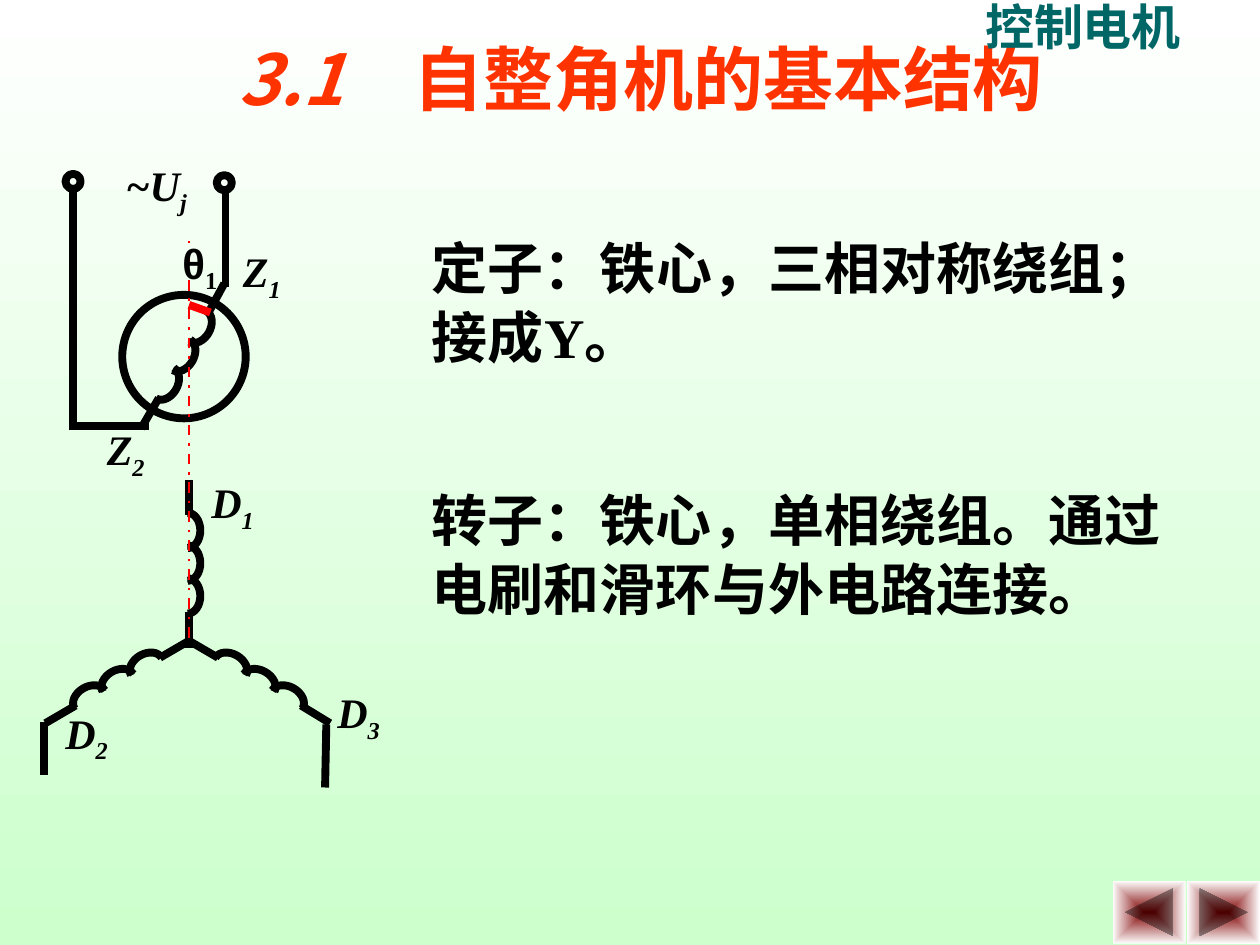
from math import cos, pi, radians, sin

from lxml import etree
from pptx import Presentation
from pptx.dml.color import RGBColor
from pptx.enum.dml import MSO_LINE
from pptx.enum.shapes import MSO_CONNECTOR, MSO_SHAPE
from pptx.enum.text import MSO_ANCHOR, MSO_AUTO_SIZE, PP_ALIGN
from pptx.oxml.ns import qn
from pptx.util import Cm, Pt

BLACK = RGBColor(0x00, 0x00, 0x00)
RED = RGBColor(0xFF, 0x00, 0x00)
ORANGE = RGBColor(0xFF, 0x33, 0x00)
TEAL = RGBColor(0x00, 0x66, 0x66)
MAROON = RGBColor(0x80, 0x00, 0x00)
WHITE = RGBColor(0xFF, 0xFF, 0xFF)
PALE_GREEN = RGBColor(0xCC, 0xFF, 0xCC)

SERIF = "Times New Roman"
CHINESE = "Noto Sans CJK SC"

# All positions below are in inches.
TITLE = ("3.1", "\u3000自整角机的基本结构".replace("\u3000", "　"))
TITLE_BOX = (0.67, 0.23, 8.83, 0.77)
HEADER = ("控制电机", (7.72, -0.08, 1.92, 0.57))
DESCRIPTIONS = [
    ("定子：铁心，三相对称绕组；接成Y。", (3.33, 1.75, 6.25, 1.17)),
    ("转子：铁心，单相绕组。通过电刷和滑环与外电路连接。", (3.33, 3.75, 6.33, 1.17)),
]
# letter, subscript, left, top, width
LABELS = [
    ("θ", "1", 1.35, 1.83, 0.67),
    ("~U", "j", 0.90, 1.21, 0.81),
    ("Z", "1", 1.83, 1.90, 0.67),
    ("Z", "2", 0.75, 3.31, 0.67),
    ("D", "1", 1.58, 3.73, 0.67),
    ("D", "2", 0.42, 5.56, 0.67),
    ("D", "3", 2.58, 5.40, 0.67),
]
# start of the winding and its direction in degrees, clockwise from the right
WINDINGS = [(0.59, 5.62, -30), (1.71, 5.22, 30), (1.49, 4.07, 90), (1.64, 2.47, 120)]
TURNS, TURN_PITCH, TURN_LENGTH, TURN_DEPTH, ARC_STEPS = 3, 0.26, 0.28, 0.1, 16
WIRES = [
    (0.36, 5.74, 0.60, 5.60), (1.27, 5.22, 1.51, 5.08),
    (2.39, 5.60, 2.62, 5.74), (1.49, 5.08, 1.73, 5.22),
    (1.50, 3.81, 1.50, 4.09), (1.50, 4.86, 1.50, 5.14),
    (2.59, 5.75, 2.58, 6.25), (0.35, 5.73, 0.35, 6.15),
    (1.78, 2.25, 1.65, 2.49), (1.26, 3.16, 1.12, 3.40),
    (1.79, 2.28, 1.79, 1.53), (1.18, 3.38, 0.60, 3.38),
    (0.58, 3.41, 0.58, 1.52),
]
AXIS = (1.50, 5.06, 1.50, 1.90)
ANGLE_MARK = (1.50, 2.42, 1.67, 2.48)
# left, top, diameter
CIRCLES = [(0.97, 2.34, 0.98), (1.72, 1.39, 0.12), (0.52, 1.38, 0.12)]
# left, rotation
BUTTONS = [(8.83, 0), (9.42, 180)]


def lengths(*inches):
    return [Cm(value * 2.54) for value in inches]


def format_run(run, size, color, font_name=SERIF, italic=False):
    font = run.font
    font.size, font.name, font.bold, font.italic = Pt(size), font_name, True, italic
    font.color.rgb = color
    east_asian = etree.SubElement(run._r.get_or_add_rPr(), qn("a:ea"))
    east_asian.set("typeface", CHINESE)


def prepare_frame(shape, anchor=MSO_ANCHOR.MIDDLE):
    frame = shape.text_frame
    frame.word_wrap = True
    frame.auto_size = MSO_AUTO_SIZE.NONE
    frame.vertical_anchor = anchor
    return frame


def add_text(slide, box, text, size, color, anchor=MSO_ANCHOR.MIDDLE):
    frame = prepare_frame(slide.shapes.add_textbox(*lengths(*box)), anchor)
    frame.text = text
    format_run(frame.paragraphs[0].runs[0], size, color)
    return frame


def add_wire(slide, ends, color=BLACK, width=4.5):
    wire = slide.shapes.add_connector(MSO_CONNECTOR.STRAIGHT, *lengths(*ends))
    wire.line.color.rgb = color
    wire.line.width = Pt(width)
    etree.SubElement(wire._element.spPr, qn("a:effectLst"))
    return wire


def outline_only(shape):
    shape.shadow.inherit = False
    shape.fill.background()
    shape.line.color.rgb = BLACK
    shape.line.width = Pt(4.5)


def add_winding(slide, left, top, degrees):
    """Draw a row of half-ellipse turns bulging to the left of the direction."""
    along_x, along_y = cos(radians(degrees)), sin(radians(degrees))
    for turn in range(TURNS):
        points = []
        for step in range(ARC_STEPS + 1):
            angle = pi * step / ARC_STEPS
            along = turn * TURN_PITCH + TURN_LENGTH * (1 - cos(angle)) / 2
            out = TURN_DEPTH * sin(angle)
            points.append(lengths(left + along * along_x + out * along_y,
                                  top + along * along_y - out * along_x))
        builder = slide.shapes.build_freeform(*points[0])
        builder.add_line_segments(points[1:], close=False)
        outline_only(builder.convert_to_shape())


def set_gradient(fill, first, last):
    fill.gradient()
    for stop, color, position in zip(fill.gradient_stops, (first, last), (0, 1)):
        stop.color.rgb = color
        stop.position = position


def add_button(slide, left, rotation):
    button = slide.shapes.add_shape(MSO_SHAPE.ACTION_BUTTON_BACK_OR_PREVIOUS,
                                    *lengths(left, 6.99, 0.58, 0.5))
    button.rotation = rotation
    button.shadow.inherit = False
    button.line.fill.background()
    set_gradient(button.fill, MAROON, WHITE)
    gradient = button._element.spPr.find(qn("a:gradFill"))
    gradient.remove(gradient.find(qn("a:lin")))
    path = etree.Element(qn("a:path"), path="rect")
    gradient.find(qn("a:gsLst")).addnext(path)
    etree.SubElement(path, qn("a:fillToRect"), l="50000", t="50000", r="50000", b="50000")


def add_title(slide):
    title = slide.shapes.title
    title.left, title.top, title.width, title.height = lengths(*TITLE_BOX)
    paragraph = prepare_frame(title).paragraphs[0]
    paragraph.alignment = PP_ALIGN.CENTER
    for text, italic in zip(TITLE, (True, False)):
        run = paragraph.add_run()
        run.text = text
        format_run(run, 40, ORANGE, CHINESE, italic)


def add_label(slide, letter, subscript, left, top, width):
    frame = add_text(slide, (left, top, width, 0.56), letter, 24, BLACK)
    paragraph = frame.paragraphs[0]
    run = paragraph.add_run()
    run.text = subscript
    format_run(run, 24, BLACK)
    run.font._element.set("baseline", "-25000")
    is_angle = letter == "θ"
    for run in paragraph.runs:
        run.font.italic = not is_angle
    if is_angle:
        paragraph.runs[0].font.name = "Arial"


def main():
    presentation = Presentation()
    presentation.slide_width, presentation.slide_height = Cm(25.4), Cm(19.05)
    slide = presentation.slides.add_slide(presentation.slide_layouts[5])
    background = slide.background.fill
    set_gradient(background, WHITE, PALE_GREEN)
    background.gradient_angle = 270

    text, box = HEADER
    add_text(slide, box, text, 28, TEAL)
    add_title(slide)

    for winding in WINDINGS:
        add_winding(slide, *winding)
    for ends in WIRES:
        add_wire(slide, ends)
    for left, top, diameter in CIRCLES:
        outline_only(slide.shapes.add_shape(
            MSO_SHAPE.OVAL, *lengths(left, top, diameter, diameter)))
    add_wire(slide, AXIS, RED, 1.5).line.dash_style = MSO_LINE.DASH_DOT
    add_wire(slide, ANGLE_MARK, RED)

    for label in LABELS:
        add_label(slide, *label)
    for text, box in DESCRIPTIONS:
        frame = add_text(slide, box, text, 32, BLACK, MSO_ANCHOR.TOP)
        frame.margin_top = Cm(0.25)
        frame.paragraphs[0].line_spacing = Pt(39)
    for button in BUTTONS:
        add_button(slide, *button)

    presentation.save("out.pptx")


if __name__ == "__main__":
    main()
